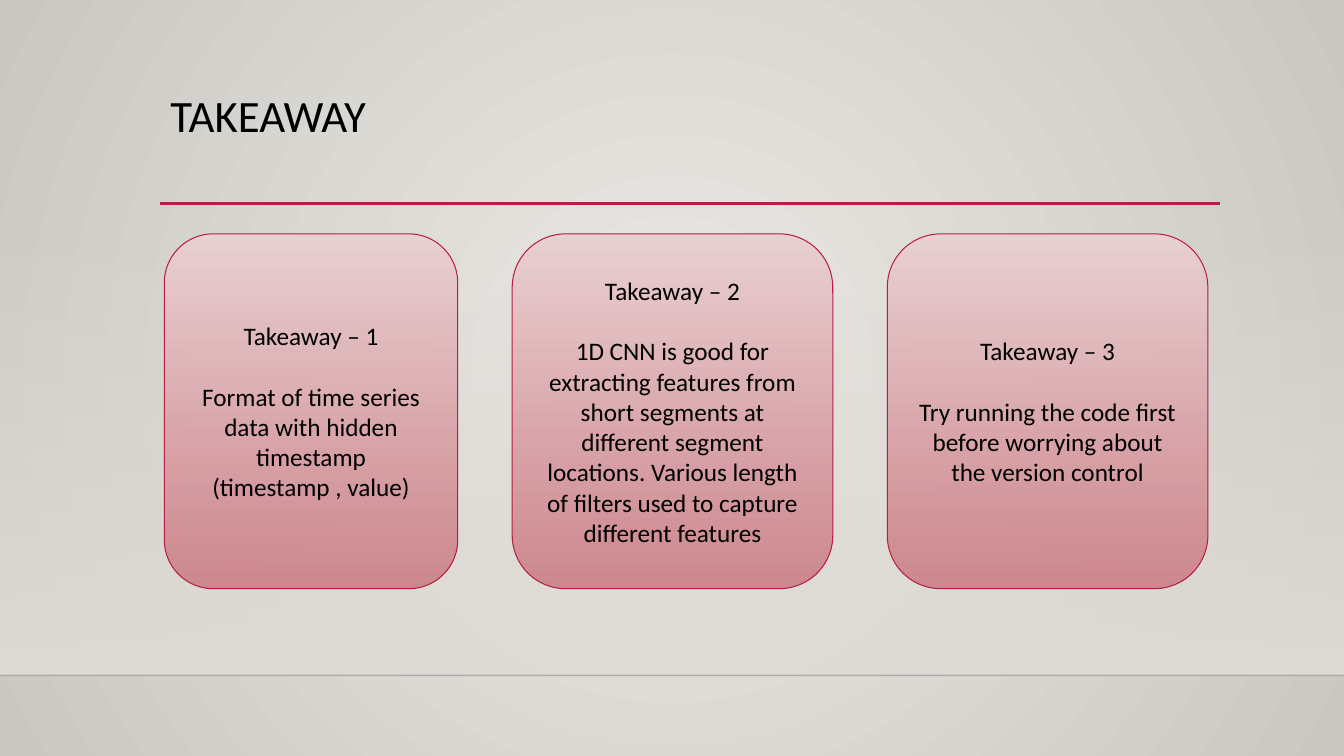
from lxml import etree
from pptx import Presentation
from pptx.dml.color import RGBColor
from pptx.enum.shapes import MSO_CONNECTOR, MSO_SHAPE
from pptx.enum.text import MSO_ANCHOR, PP_ALIGN
from pptx.oxml.ns import qn
from pptx.util import Inches, Pt

RECTANGLE = MSO_SHAPE.RECTANGLE
ROUNDED_RECTANGLE = MSO_SHAPE.ROUNDED_RECTANGLE
STRAIGHT = MSO_CONNECTOR.STRAIGHT
CENTER = PP_ALIGN.CENTER
LEFT = PP_ALIGN.LEFT
MIDDLE = MSO_ANCHOR.MIDDLE
TOP = MSO_ANCHOR.TOP
TITLE_ONLY_LAYOUT = 5

COLORS = {
    "background_center": "ECEAE7",
    "background_edge": "CAC7C1",
    "wall": "DFDBD5",
    "floor_line": "000001",
    "accent": "B71E42",
    "card_top": "EAD1D3",
    "card_bottom": "CD828A",
    "text": "000000",
}

CARDS = [
    (1.63, 2.91, "Takeaway – 1",
     ["Format of time series data with hidden timestamp", "(timestamp , value)"]),
    (5.08, 3.18, "Takeaway – 2",
     ["1D CNN is good for extracting features from short segments at different "
      "segment locations. Various length of filters used to capture different features"]),
    (8.8, 3.18, "Takeaway – 3",
     ["Try running the code first before worrying about the version control"]),
]


class TakeawaySlide:
    font_name = "Calibri"

    def __init__(self, presentation):
        layout = presentation.slide_layouts[TITLE_ONLY_LAYOUT]
        self.slide = presentation.slides.add_slide(layout)

    def color(self, name):
        return RGBColor.from_string(COLORS[name])

    def set_opacity(self, parent, percent):
        color_element = parent.find(".//" + qn("a:srgbClr"))
        etree.SubElement(color_element, qn("a:alpha"), val=str(percent * 1000))

    def fill_gradient(self, fill, names):
        fill.gradient()
        for stop, name in zip(fill.gradient_stops, names):
            stop.color.rgb = self.color(name)

    def background(self):
        self.fill_gradient(self.slide.background.fill, ["background_center", "background_edge"])
        gradient = self.slide._element.find(".//" + qn("a:gradFill"))
        gradient.remove(gradient.find(qn("a:lin")))
        circle = etree.SubElement(gradient, qn("a:path"), attrib={"path": "circle"})
        sides = dict.fromkeys("ltrb", "50000")
        etree.SubElement(circle, qn("a:fillToRect"), attrib=sides)

    def gradient_shape(self, kind, left, top, width, height, names, opacities):
        shape = self.slide.shapes.add_shape(
            kind, Inches(left), Inches(top), Inches(width), Inches(height))
        shape.shadow.inherit = False
        self.fill_gradient(shape.fill, names)
        shape.fill.gradient_angle = 270
        stops = shape._element.spPr.iter(qn("a:gs"))
        for stop, opacity in zip(stops, opacities):
            self.set_opacity(stop, opacity)
        shape.line.fill.background()
        return shape

    def horizontal_line(self, left, right, top, name, width, opacity=100):
        line = self.slide.shapes.add_connector(
            STRAIGHT, Inches(left), Inches(top), Inches(right), Inches(top))
        line.line.color.rgb = self.color(name)
        line.line.width = Pt(width)
        properties = line._element.spPr
        self.set_opacity(properties, opacity)
        etree.SubElement(properties, qn("a:effectLst"))

    def format_text(self, text_frame, size, alignment, anchor):
        text_frame.word_wrap = True
        text_frame.vertical_anchor = anchor
        for paragraph in text_frame.paragraphs:
            paragraph.alignment = alignment
            for run in paragraph.runs:
                run.font.name = self.font_name
                run.font.size = Pt(size)
                run.font.color.rgb = self.color("text")

    def title(self, text):
        title = self.slide.shapes.title
        title.left, title.top = Inches(1.59), Inches(0.88)
        title.width, title.height = Inches(10.5), Inches(1.15)
        title.text_frame.text = text
        self.format_text(title.text_frame, 32, LEFT, TOP)
        title.text_frame.paragraphs[0].line_spacing = 0.9

    def card(self, left, width, heading, body):
        shape = self.gradient_shape(ROUNDED_RECTANGLE, left, 2.32, width, 3.52,
                                    ["card_top", "card_bottom"], [100, 92])
        shape.line.color.rgb = self.color("accent")
        shape.line.width = Pt(0.75)
        shape.text_frame.text = "\n".join([heading, *body])
        self.format_text(shape.text_frame, 18, CENTER, MIDDLE)
        shape.text_frame.paragraphs[0].space_after = Pt(21.6)


def main():
    presentation = Presentation()
    presentation.slide_width = Inches(13.33)
    presentation.slide_height = Inches(7.5)

    takeaway = TakeawaySlide(presentation)
    takeaway.background()
    takeaway.gradient_shape(RECTANGLE, 0, 2.21, 13.33, 4.49, ["wall", "wall"], [0, 100])
    takeaway.horizontal_line(0, 13.33, 6.7, "floor_line", 1, 20)
    takeaway.horizontal_line(1.59, 12.1, 2.02, "accent", 2.5)
    takeaway.title("TAKEAWAY")
    for card in CARDS:
        takeaway.card(*card)

    presentation.save("out.pptx")


if __name__ == "__main__":
    main()
